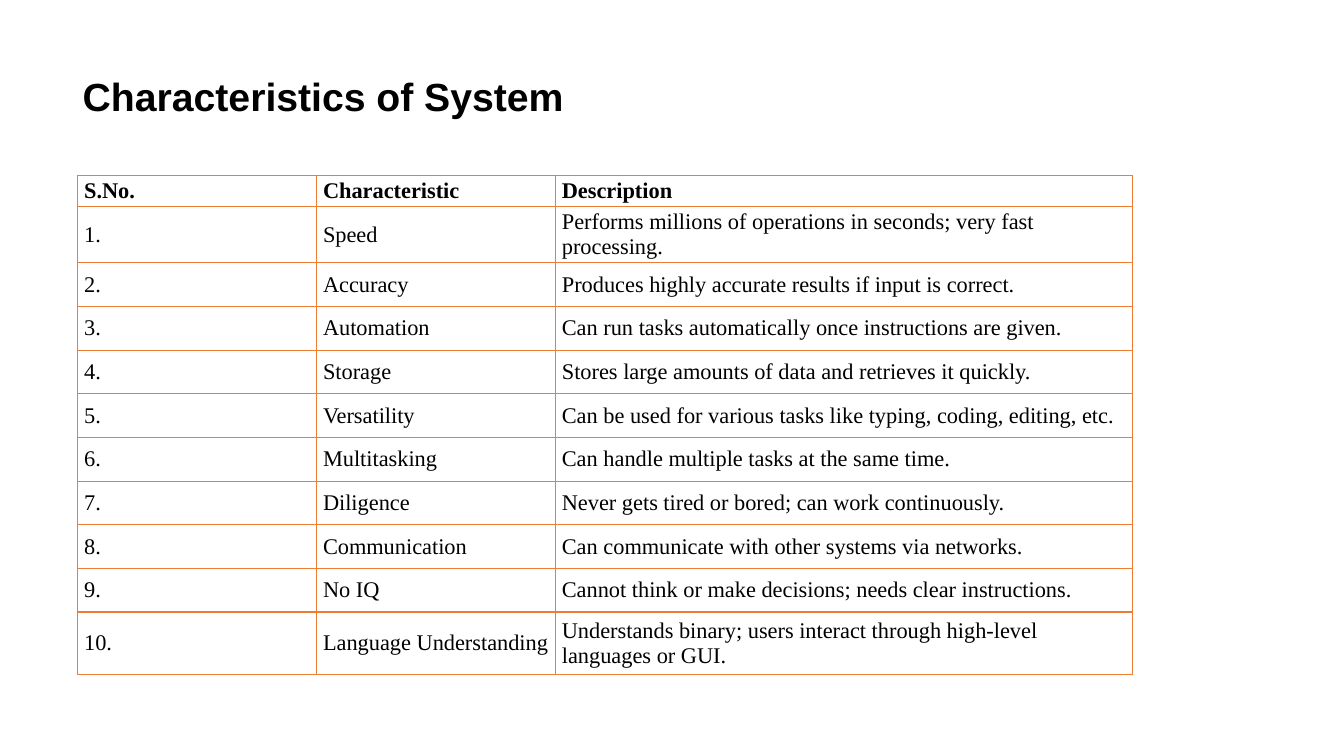
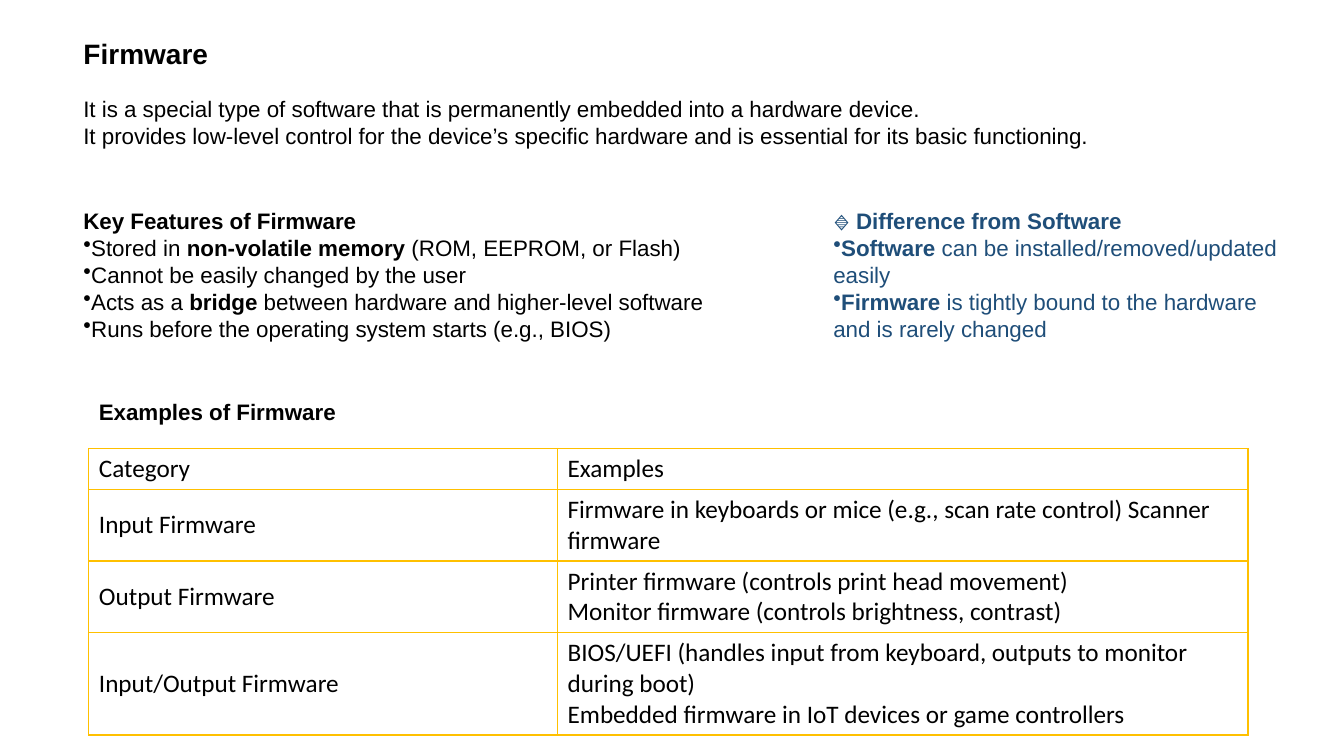
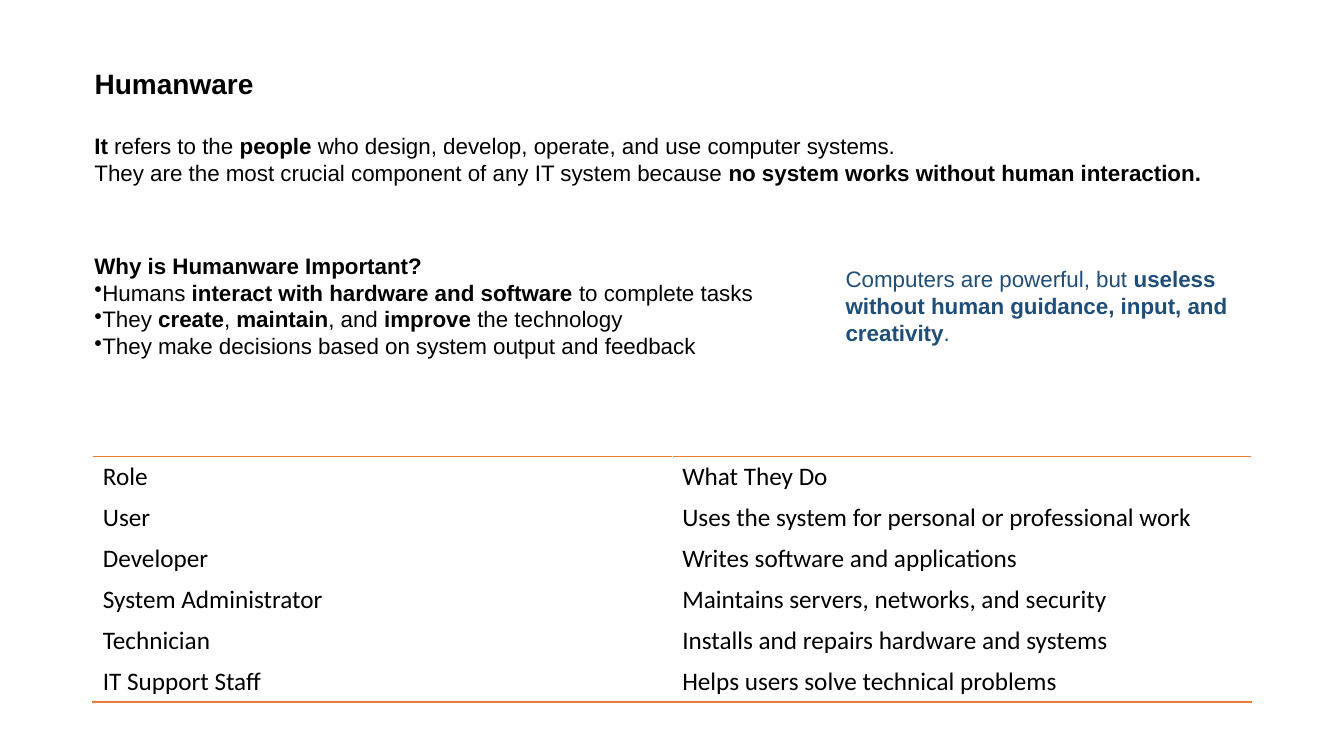
from dataclasses import dataclass

from pptx import Presentation
from pptx.dml.color import RGBColor
from pptx.enum.text import MSO_ANCHOR, MSO_AUTO_SIZE, PP_ALIGN
from pptx.oxml.ns import qn
from pptx.util import Cm, Pt
from lxml import etree

MIDDLE = MSO_ANCHOR.MIDDLE
NO_RESIZE = MSO_AUTO_SIZE.NONE
LEFT = PP_ALIGN.LEFT

TITLE_ONLY = 5
BLACK = "000000"
NAVY = "1F4E79"
ORANGE = "ED7D31"
GOLD = "FFC000"
ALL_SIDES = "LRTB"
BULLET = "•"


@dataclass
class Style:
    font: str = "Arial"
    size: int = 16
    color: str = BLACK
    bold: bool = False


BODY = Style()
ACCENT = Style(color=NAVY)
MAIN_TITLE = Style(size=28, bold=True)
SECTION_TITLE = Style(size=20, bold=True)
SERIF_CELL = Style(font="Times New Roman")
SERIF_HEADER = Style(font="Times New Roman", bold=True)
PLAIN_CELL = Style(font="Calibri", size=18)

CHARACTERISTICS = [
    ("Speed", "Performs millions of operations in seconds; very fast processing."),
    ("Accuracy", "Produces highly accurate results if input is correct."),
    ("Automation", "Can run tasks automatically once instructions are given."),
    ("Storage", "Stores large amounts of data and retrieves it quickly."),
    ("Versatility", "Can be used for various tasks like typing, coding, editing, etc."),
    ("Multitasking", "Can handle multiple tasks at the same time."),
    ("Diligence", "Never gets tired or bored; can work continuously."),
    ("Communication", "Can communicate with other systems via networks."),
    ("No IQ", "Cannot think or make decisions; needs clear instructions."),
    ("Language Understanding",
     "Understands binary; users interact through high-level languages or GUI."),
]

FIRMWARE_INTRO = """\
It is a special type of software that is permanently embedded into a hardware device.
It provides low-level control for the device’s specific hardware and is essential for its basic functioning."""

FIRMWARE_FEATURES = """\
**Key Features of Firmware**
•Stored in **non-volatile memory** (ROM, EEPROM, or Flash)
•Cannot be easily changed by the user
•Acts as a **bridge** between hardware and higher-level software
•Runs before the operating system starts (e.g., BIOS)"""

FIRMWARE_DIFFERENCE = """\
**🔹 Difference from Software**
•**Software** can be installed/removed/updated easily
•**Firmware** is tightly bound to the hardware and is rarely changed"""

FIRMWARE_EXAMPLES = [
    ("Category", "Examples"),
    ("Input Firmware",
     "Firmware in keyboards or mice (e.g., scan rate control) Scanner firmware"),
    ("Output Firmware",
     "Printer firmware (controls print head movement)\n"
     "Monitor firmware (controls brightness, contrast)"),
    ("Input/Output Firmware",
     "BIOS/UEFI (handles input from keyboard, outputs to monitor during boot)\n"
     "Embedded firmware in IoT devices or game controllers"),
]

HUMANWARE_INTRO = """\
**It** refers to the **people** who design, develop, operate, and use computer systems.
They are the most crucial component of any IT system because **no system works without human interaction.**"""

HUMANWARE_REASONS = """\
**Why is Humanware Important?**
•Humans **interact with hardware and software** to complete tasks
•They **create**, **maintain**, and **improve** the technology
•They make decisions based on system output and feedback"""

HUMANWARE_CONCLUSION = (
    "Computers are powerful, but "
    "**useless without human guidance, input, and creativity**."
)

HUMANWARE_ROLES = [
    ("Role", "What They Do"),
    ("User", "Uses the system for personal or professional work"),
    ("Developer", "Writes software and applications"),
    ("System Administrator", "Maintains servers, networks, and security"),
    ("Technician", "Installs and repairs hardware and systems"),
    ("IT Support Staff", "Helps users solve technical problems"),
]


def set_color(color_format, color):
    color_format.rgb = RGBColor.from_string(color)


def add_bullet(paragraph):
    properties = paragraph._p.get_or_add_pPr()
    properties.set("marL", "0")
    properties.set("indent", "0")
    etree.SubElement(properties, qn("a:buChar")).set("char", BULLET)


def write_text(frame, text, style):
    for index, line in enumerate(text.split("\n")):
        paragraph = frame.add_paragraph() if index else frame.paragraphs[0]
        paragraph.alignment = LEFT
        paragraph.line_spacing = 1.0
        if line.startswith(BULLET):
            add_bullet(paragraph)
        font = paragraph.font
        font.name, font.size, font.bold = style.font, Pt(style.size), style.bold
        set_color(font.color, style.color)
        for part, words in enumerate(line.removeprefix(BULLET).split("**")):
            if words:
                span = paragraph.add_run()
                span.text = words
                if part % 2:
                    span.font.bold = True


def fill_box(box, text, style):
    frame = box.text_frame
    frame.word_wrap = True
    frame.auto_size = NO_RESIZE
    frame.vertical_anchor = MIDDLE
    write_text(frame, text, style)


def add_page(deck, title, top, height, left, style):
    page = deck.slides.add_slide(deck.slide_layouts[TITLE_ONLY])
    box = page.shapes.title
    box.left, box.top, box.width, box.height = Cm(left), Cm(top), Cm(29), Cm(height)
    fill_box(box, title, style)
    return page


def add_text(page, text, left, top, width, height, style=BODY):
    box = page.shapes.add_textbox(Cm(left), Cm(top), Cm(width), Cm(height))
    fill_box(box, text, style)


def add_borders(cell, sides, color):
    properties = cell._tc.get_or_add_tcPr()
    for side in sides:
        line = etree.SubElement(properties, qn(f"a:ln{side}"))
        line.set("w", str(Pt(1)))
        fill = etree.SubElement(line, qn("a:solidFill"))
        etree.SubElement(fill, qn("a:srgbClr")).set("val", color)


def add_table(page, rows, left, top, widths, heights, color, style,
              header_style=None, outer_only=False, margins=None):
    shape = page.shapes.add_table(len(rows), len(widths), Cm(left), Cm(top),
                                  Cm(sum(widths)), Cm(sum(heights)))
    table = shape.table
    table.first_row = table.horz_banding = False
    for column, width in zip(table.columns, widths):
        column.width = Cm(width)
    last = len(rows) - 1
    for index, (row, height, texts) in enumerate(zip(table.rows, heights, rows)):
        row.height = Cm(height)
        sides = {0: "T", last: "B"}.get(index, "") if outer_only else ALL_SIDES
        row_style = header_style if header_style and index == 0 else style
        for cell, text in zip(row.cells, texts):
            add_borders(cell, sides, color)
            cell.fill.background()
            cell.vertical_anchor = MIDDLE
            if margins:
                cell.margin_left = cell.margin_right = Cm(margins[0])
                cell.margin_top = cell.margin_bottom = Cm(margins[1])
            write_text(cell.text_frame, text, row_style)


def build_characteristics(deck):
    page = add_page(deck, "Characteristics of System", 1.68, 1.45, 1.83, MAIN_TITLE)
    numbered = [(f"{number}.", *row) for number, row in enumerate(CHARACTERISTICS, 1)]
    rows = [("S.No.", "Characteristic", "Description")] + numbered
    add_table(page, rows, 1.96, 4.42, [6.02, 6.02, 14.53],
              [0.64] + [1.1] * 9 + [1.57], ORANGE, SERIF_CELL,
              header_style=SERIF_HEADER, margins=(0.16, 0.08))


def build_firmware(deck):
    page = add_page(deck, "Firmware", 0.75, 1.2, 1.85, SECTION_TITLE)
    add_text(page, FIRMWARE_INTRO, 1.85, 2.27, 29.46, 1.6)
    add_text(page, FIRMWARE_FEATURES, 1.85, 5.08, 18, 3.68)
    add_text(page, FIRMWARE_DIFFERENCE, 20.75, 5.08, 11.73, 3.68, ACCENT)
    add_table(page, FIRMWARE_EXAMPLES, 2.24, 11.3, [11.81, 17.4],
              [1.03, 1.79, 1.79, 2.55], GOLD, PLAIN_CELL)
    add_text(page, "**Examples of Firmware**", 2.24, 9.91, 14.35, 0.94)


def build_humanware(deck):
    page = add_page(deck, "Humanware", 1.51, 1.2, 2.13, SECTION_TITLE)
    add_table(page, HUMANWARE_ROLES, 2.34, 11.51, [14.6, 14.6],
              [1.03] * len(HUMANWARE_ROLES), ORANGE, PLAIN_CELL, outer_only=True)
    add_text(page, HUMANWARE_INTRO, 2.13, 3.2, 29.46, 1.6)
    add_text(page, HUMANWARE_REASONS, 2.13, 6.2, 18, 3)
    add_text(page, HUMANWARE_CONCLUSION, 21.06, 6.55, 10.77, 2.31, ACCENT)


def main():
    deck = Presentation()
    deck.slide_width, deck.slide_height = Cm(33.87), Cm(19.05)
    build_characteristics(deck)
    build_firmware(deck)
    build_humanware(deck)
    deck.save("out.pptx")


if __name__ == "__main__":
    main()
